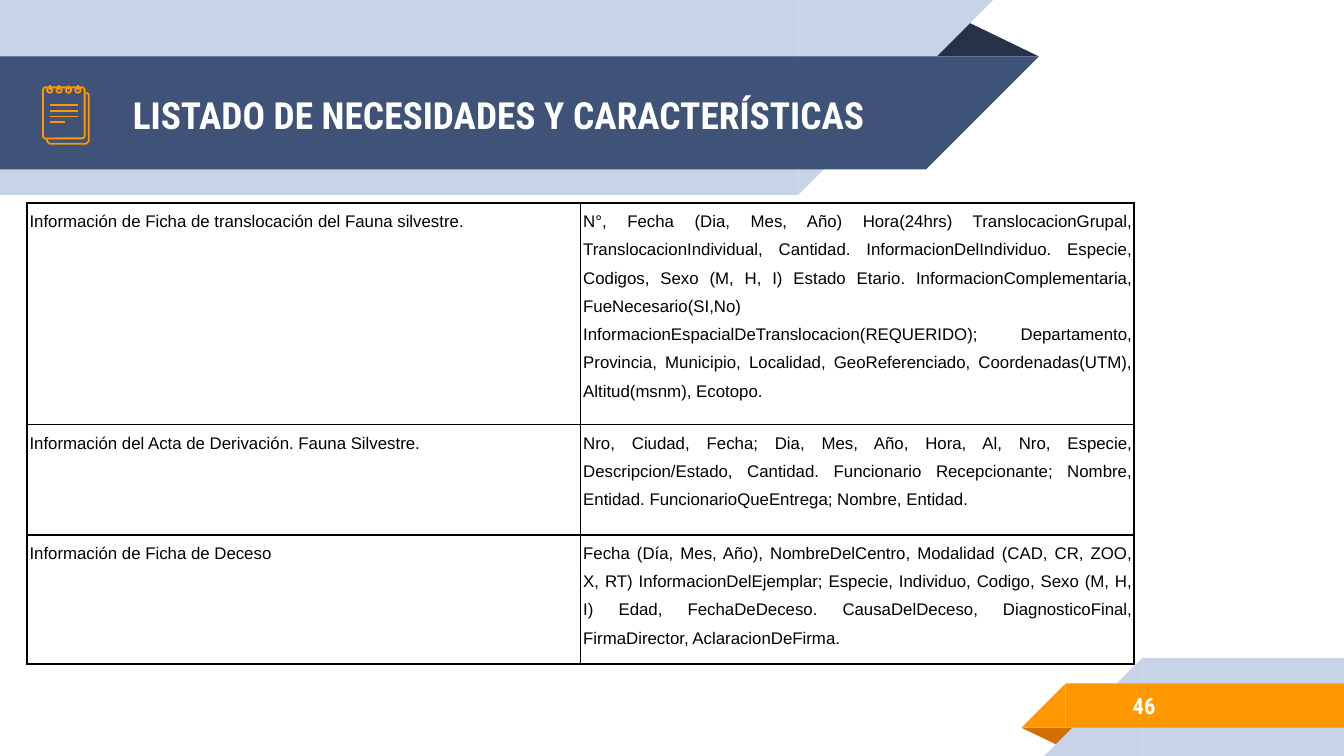
from collections import namedtuple
from lxml.etree import SubElement
from pptx import Presentation
from pptx.dml.color import RGBColor
from pptx.enum.shapes import MSO_CONNECTOR, MSO_SHAPE as SHP
from pptx.enum.text import MSO_ANCHOR, PP_ALIGN
from pptx.oxml.ns import qn
from pptx.util import Inches, Pt

NAVY = RGBColor(0x3F, 0x53, 0x78)
DARK = RGBColor(0x26, 0x32, 0x48)
PALE = RGBColor(0xC7, 0xD3, 0xE6)
ORANGE = RGBColor(0xFF, 0x98, 0x00)
RUST = RGBColor(0xD2, 0x6F, 0x00)
WHITE = RGBColor(0xFF, 0xFF, 0xFF)
BLACK = RGBColor(0x00, 0x00, 0x00)
HEAD_FONT, BODY_FONT = "Roboto Condensed", "Arial"
ICON_LINE = Pt(0.96)

Box = namedtuple("Box", "x y w h")
SLIDE = Box(0, 0, 10, 10 * 9 / 16)  # widescreen 16:9

ROWS = [
    (1.65, "Información de Ficha de translocación del Fauna silvestre.",
     "N°, Fecha (Dia, Mes, Año) Hora(24hrs) TranslocacionGrupal, "
     "TranslocacionIndividual, Cantidad. InformacionDelIndividuo. Especie, "
     "Codigos, Sexo (M, H, I) Estado Etario. InformacionComplementaria, "
     "FueNecesario(SI,No) InformacionEspacialDeTranslocacion(REQUERIDO); "
     "Departamento, Provincia, Municipio, Localidad, GeoReferenciado, "
     "Coordenadas(UTM), Altitud(msnm), Ecotopo."),
    (0.82, "Información del Acta de Derivación. Fauna Silvestre.",
     "Nro, Ciudad, Fecha; Dia, Mes, Año, Hora, Al, Nro, Especie, "
     "Descripcion/Estado, Cantidad. Funcionario Recepcionante; Nombre, "
     "Entidad. FuncionarioQueEntrega; Nombre, Entidad."),
    (0.96, "Información de Ficha de Deceso",
     "Fecha (Día, Mes, Año), NombreDelCentro, Modalidad (CAD, CR, ZOO, X, RT) "
     "InformacionDelEjemplar; Especie, Individuo, Codigo, Sexo (M, H, I) Edad, "
     "FechaDeDeceso. CausaDelDeceso, DiagnosticoFinal, FirmaDirector, "
     "AclaracionDeFirma."),
]


def inches(*values):
    return [Inches(v) for v in values]


def write(tf, text, size, color, font=HEAD_FONT, bold=False,
          align=PP_ALIGN.LEFT, spacing=None, after=None):
    tf.word_wrap = True
    p = tf.paragraphs[0]
    p.alignment = align
    if spacing:
        p.line_spacing = spacing
    if after:
        p.space_after = Pt(after)
    r = p.add_run()
    r.text = text
    r.font.size, r.font.name, r.font.bold = Pt(size), font, bold
    r.font.color.rgb = color


def label(slide, box, text, size):
    tf = slide.shapes.add_textbox(*inches(*box)).text_frame
    tf.margin_left = tf.margin_right = Inches(0.1)
    tf.margin_top = tf.margin_bottom = Inches(0.1)
    tf.vertical_anchor = MSO_ANCHOR.MIDDLE
    write(tf, text, size, WHITE, bold=True)


def solid(slide, kind, box, color, rotation=0):
    sp = slide.shapes.add_shape(kind, *inches(*box))
    sp.shadow.inherit = False
    sp.fill.solid()
    sp.fill.fore_color.rgb = color
    sp.line.fill.background()
    sp.rotation = rotation
    return sp


def outline(sp):
    sp.shadow.inherit = False
    sp.fill.background()
    sp.line.color.rgb = ORANGE
    sp.line.width = ICON_LINE


def stroke(slide, x1, y1, x2, y2):
    ln = slide.shapes.add_connector(MSO_CONNECTOR.STRAIGHT, *inches(x1, y1, x2, y2))
    ln.line.color.rgb = ORANGE
    ln.line.width = ICON_LINE
    SubElement(ln._element.spPr, qn("a:effectLst"))


def band(slide, box, color, slant_left=False):
    """Bar with one end cut at 45 degrees."""
    x, y, w, h = box
    bar_x, cut_x = (x + h, x) if slant_left else (x, x + w - h)
    solid(slide, SHP.RECTANGLE, Box(bar_x, y, w - h, h), color)
    solid(slide, SHP.RIGHT_TRIANGLE, Box(cut_x, y, h, h), color,
          270 if slant_left else 90)


def fold(slide, box, color, rotation=0):
    solid(slide, SHP.ISOSCELES_TRIANGLE, box, color, rotation).adjustments[0] = 0.32


def header(slide, box, title):
    x, y, w, h = box
    fold(slide, Box(x + w - 0.85, y + 0.14, 0.85, 0.28), DARK)
    band(slide, Box(x, y, w - 0.34, h), PALE)
    band(slide, Box(x, y + 0.42, w, 0.84), NAVY)
    notepad(slide, Box(x + 0.32, y + 0.63, 0.34, 0.44))
    label(slide, Box(x + 0.89, y + 0.43, 5.75, 0.84), title, 20)


def notepad(slide, box):
    x, y, w, h = box
    # Back page, seen behind the front one
    right, bottom = x + w, y + h
    edge = [(x + 0.03, bottom - 0.02), (x + 0.05, bottom), (right - 0.02, bottom),
            (right, bottom - 0.02), (right, y + 0.07), (right - 0.02, y + 0.06)]
    fb = slide.shapes.build_freeform(Inches(x + 0.03), Inches(bottom - 0.04))
    fb.add_line_segments([inches(*pt) for pt in edge], close=False)
    outline(fb.convert_to_shape())
    # Front page
    page = slide.shapes.add_shape(SHP.ROUNDED_RECTANGLE,
                                  *inches(x, y + 0.02, w - 0.03, h - 0.06))
    page.adjustments[0] = 0.06
    outline(page)
    # Rings
    for i in range(4):
        cx = x + 0.05 + 0.07 * i
        outline(slide.shapes.add_shape(
            SHP.OVAL, *inches(cx - 0.02, y + 0.02, 0.04, 0.04)))
        stroke(slide, cx, y, cx, y + 0.04)
    # Written lines, the last one short
    for i, length in enumerate((0.21, 0.21, 0.21, 0.11)):
        ly = y + 0.15 + 0.13 * i / 3
        stroke(slide, x + 0.05, ly, x + 0.05 + length, ly)


def footer(slide, box, number):
    x, y, w, h = box
    fold(slide, Box(x, y + 0.52, 0.43, 0.14), RUST, 180)
    band(slide, Box(x + 0.17, y, w - 0.17, h), PALE, slant_left=True)
    band(slide, Box(x, y + 0.19, w, 0.33), ORANGE, slant_left=True)
    label(slide, Box(x + 0.73, y + 0.18, 1.63, 0.35), number, 12)


def border(cell):
    tc_pr = cell._tc.get_or_add_tcPr()
    for side in ("a:lnL", "a:lnR", "a:lnT", "a:lnB"):
        ln = SubElement(tc_pr, qn(side), w=str(Pt(1)))
        SubElement(SubElement(ln, qn("a:solidFill")), qn("a:srgbClr"), val=str(BLACK))


def needs_table(slide, box, rows):
    tbl = slide.shapes.add_table(len(rows), 2, *inches(*box)).table
    tbl.first_row = tbl.horz_banding = False
    for col in tbl.columns:
        col.width = Inches(box.w / 2)
    for i, (height, *texts) in enumerate(rows):
        tbl.rows[i].height = Inches(height)
        for j, text in enumerate(texts):
            cell = tbl.cell(i, j)
            cell.margin_left = cell.margin_right = Inches(0.02)
            cell.margin_top = cell.margin_bottom = 0
            border(cell)
            cell.fill.solid()
            cell.fill.fore_color.rgb = WHITE
            write(cell.text_frame, text, 9, BLACK, font=BODY_FONT,
                  align=PP_ALIGN.JUSTIFY, spacing=1.5, after=8)


def main():
    prs = Presentation()
    prs.slide_width, prs.slide_height = inches(SLIDE.w, SLIDE.h)
    slide = prs.slides.add_slide(prs.slide_layouts[6])
    header(slide, Box(0, 0, 7.73, 1.45), "LISTADO DE NECESIDADES Y CARACTERÍSTICAS")
    footer(slide, Box(7.6, SLIDE.h - 0.73, SLIDE.w - 7.6, 0.73), "46")
    needs_table(slide, Box(0.2, 1.51, 8.24, 3.43), ROWS)
    prs.save("out.pptx")


if __name__ == "__main__":
    main()
